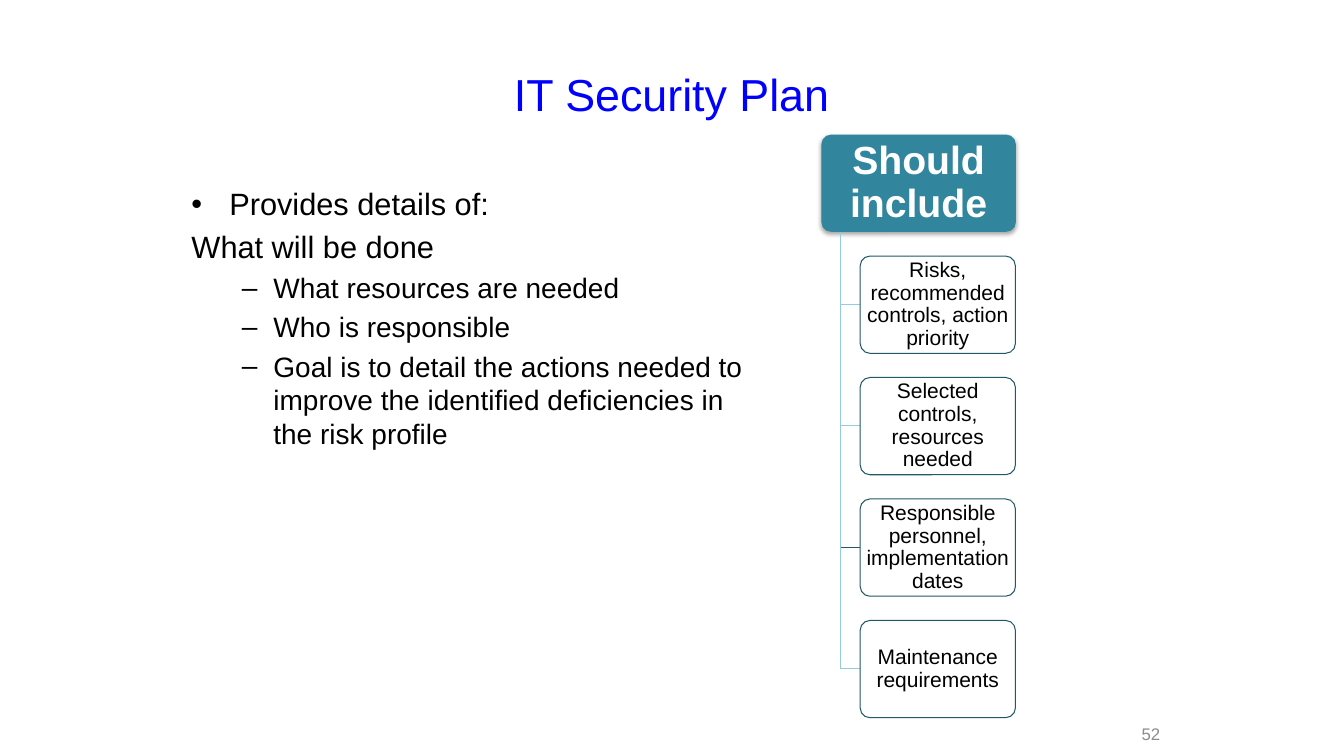
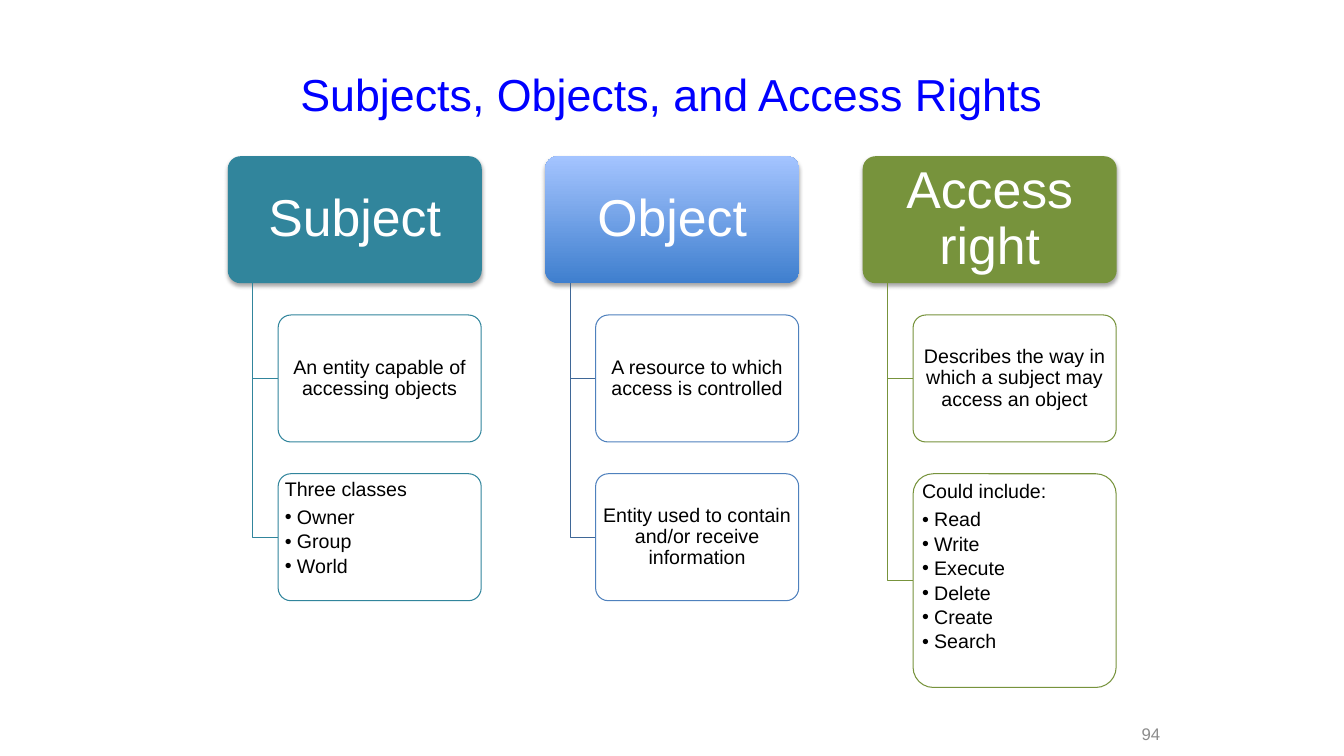
from lxml.etree import SubElement
from pptx import Presentation
from pptx.dml.color import RGBColor
from pptx.enum.shapes import MSO_SHAPE
from pptx.enum.text import MSO_ANCHOR as Anchor, MSO_AUTO_SIZE as AutoSize, PP_ALIGN as Align
from pptx.oxml.ns import qn
from pptx.util import Pt

EMU_PER_PX = 4572
FONT = "Arial"
BLUE, BLACK, WHITE, GREY = "0000FF", "000000", "FFFFFF", "8C8C8C"
TEAL, DARK_TEAL, PALE_TEAL = "31859C", "215968", "93CDDD"
GREEN, SKY, NAVY = "77933C", "4F81BD", "3F6797"
OBJECT_GRADIENT = ("3F7FCE", "A4C4FF")


def px(*lengths):
    return [round(length * EMU_PER_PX) for length in lengths]


def rgb(code):
    return RGBColor.from_string(code)


def style_runs(para, size, color, bold=False):
    for span in para.runs:
        span.font.name = FONT
        span.font.size = Pt(size)
        span.font.bold = bold
        span.font.color.rgb = rgb(color)


def place(shape, left, top, width, height):
    shape.left, shape.top, shape.width, shape.height = px(left, top, width, height)


def set_frame(frame, insets, anchor):
    frame.word_wrap = True
    frame.auto_size = AutoSize.NONE
    frame.vertical_anchor = anchor
    side, end = px(*insets)
    frame.margin_left = frame.margin_right = side
    frame.margin_top = frame.margin_bottom = end


def set_indent(para, margin, bullet=None):
    properties = para._p.get_or_add_pPr()
    left, = px(margin)
    properties.set("marL", str(left))
    properties.set("indent", str(-left))
    if bullet:
        SubElement(properties, qn("a:buFont")).set("typeface", FONT)
        SubElement(properties, qn("a:buChar")).set("char", bullet)
    else:
        SubElement(properties, qn("a:buNone"))


def add_shadow(shape):
    effects = shape._element.spPr.find(qn("a:effectLst"))
    shadow = SubElement(effects, qn("a:outerShdw"), blurRad="40000", dist="23000",
                        dir="5400000", rotWithShape="0")
    color = SubElement(shadow, qn("a:srgbClr"), val=BLACK)
    SubElement(color, qn("a:alpha"), val="35000")


def fill_shape(shape, fill):
    if isinstance(fill, str):
        shape.fill.solid()
        shape.fill.fore_color.rgb = rgb(fill)
    else:
        shape.fill.gradient()
        shape.fill.gradient_angle = 90
        for stop, code in zip(shape.fill.gradient_stops, fill):
            stop.color.rgb = rgb(code)


def add_page(deck, layout, title, number):
    page = deck.slides.add_slide(deck.slide_layouts[layout])
    heading = page.shapes.title
    place(heading, 133, 60, 2400, 250)
    heading.text_frame.text = title
    set_frame(heading.text_frame, (20, 10), Anchor.MIDDLE)
    heading.text_frame.paragraphs[0].alignment = Align.CENTER
    style_runs(heading.text_frame.paragraphs[0], 32, BLUE)

    box = page.shapes.add_textbox(*px(2186, 1440, 136, 30))
    box.text_frame.text = number
    set_frame(box.text_frame, (20, 0), Anchor.MIDDLE)
    box.text_frame.paragraphs[0].alignment = Align.RIGHT
    style_runs(box.text_frame.paragraphs[0], 12, GREY)
    return page


def fill_body(page, items):
    body = page.placeholders[1]
    place(body, 360, 357, 1140, 980)
    frame = body.text_frame
    frame.text = "\n".join(text for text, level, bulleted in items)
    set_frame(frame, (20, 10), Anchor.TOP)
    for para, (text, level, bulleted) in zip(frame.paragraphs, items):
        para.level = level
        if not bulleted:
            set_indent(para, 0)
        style_runs(para, 20 if level else 22, BLACK)
    frame.paragraphs[0].space_before = Pt(0)


def add_card(page, area, lines, size, color, insets, bold=False):
    card = page.shapes.add_shape(MSO_SHAPE.ROUNDED_RECTANGLE, *px(*area))
    card.adjustments[0] = 0.1
    card.shadow.inherit = False
    frame = card.text_frame
    frame.text = "\n".join(lines)
    is_list = len(lines) > 1
    set_frame(frame, insets, Anchor.TOP if is_list else Anchor.MIDDLE)
    for index, para in enumerate(frame.paragraphs):
        para.alignment = Align.LEFT if is_list else Align.CENTER
        para.line_spacing = 0.9
        if index:
            para.level = 1
            set_indent(para, 24, "•")
        if index < len(lines) - 1:
            para.space_after = Pt(2.3 if index else 5)
        style_runs(para, size, color, bold)
    return card


def add_head(page, area, text, fill, size, insets, bold):
    head = add_card(page, area, [text], size, WHITE, insets, bold)
    fill_shape(head, fill)
    head.line.fill.background()
    add_shadow(head)


def add_child(page, area, lines, size, line):
    child = add_card(page, area, lines, size, BLACK, (6, 4))
    fill_shape(child, WHITE)
    child.line.color.rgb = rgb(line)
    child.line.width = Pt(0.75)


def add_elbow(page, left, top, right, bottom, color):
    builder = page.shapes.build_freeform(left, top, EMU_PER_PX)
    builder.add_line_segments([(left, bottom), (right, bottom)], close=False)
    elbow = builder.convert_to_shape()
    elbow.shadow.inherit = False
    elbow.fill.background()
    elbow.line.color.rgb = rgb(color)
    elbow.line.width = Pt(0.75)


def add_branch(page, area, head, fill, line, children, head_size, child_size, insets, bold=False):
    left, top, width, height = area
    add_head(page, area, head, fill, head_size, insets, bold)
    gap = height // 4
    child_left = left + width // 5
    child_top = top + height + gap
    for lines, child_height, elbow_color in children:
        middle = child_top + child_height // 2
        add_elbow(page, left + width // 10, top + height, child_left, middle, elbow_color)
        add_child(page, (child_left, child_top, width * 4 // 5, child_height), lines,
                  child_size, line)
        child_top += child_height + gap


def add_security_plan(deck):
    page = add_page(deck, 1, "IT Security Plan", "52")
    fill_body(page, [
        ("Provides details of:", 0, True),
        ("What will be done", 0, False),
        ("What resources are needed", 1, True),
        ("Who is responsible", 1, True),
        ("Goal is to detail the actions needed to improve the identified deficiencies"
         " in the risk profile", 1, True),
    ])
    height = 193
    children = [
        (["Risks, recommended controls, action priority"], height, PALE_TEAL),
        (["Selected controls, resources needed"], height, PALE_TEAL),
        (["Responsible personnel, implementation dates"], height, DARK_TEAL),
        (["Maintenance requirements"], height, PALE_TEAL),
    ]
    add_branch(page, (1630, 267, 386, height), "Should include", TEAL, DARK_TEAL, children,
               28, 15, (12, 8), bold=True)


def add_access_rights(deck):
    page = add_page(deck, 5, "Subjects, Objects, and Access Rights", "94")
    height = 252
    branches = [
        ("Subject", TEAL, TEAL, TEAL, [
            (["An entity capable of accessing objects"], height),
            (["Three classes", "Owner", "Group", "World"], height),
        ]),
        ("Object", OBJECT_GRADIENT, SKY, NAVY, [
            (["A resource to which access is controlled"], height),
            (["Entity used to contain and/or receive information"], height),
        ]),
        ("Access right", GREEN, GREEN, GREEN, [
            (["Describes the way in which a subject may access an object"], height),
            (["Could include:", "Read", "Write", "Execute", "Delete", "Create", "Search"], 424),
        ]),
    ]
    for column, (head, fill, line, elbow_color, cards) in enumerate(branches):
        children = [(lines, card_height, elbow_color) for lines, card_height in cards]
        add_branch(page, (452 + 630 * column, 310, 504, height), head, fill, line, children,
                   37, 14, (16, 10))


def main():
    deck = Presentation()
    deck.slide_width, deck.slide_height = px(2667, 1500)
    add_security_plan(deck)
    add_access_rights(deck)
    deck.save("out.pptx")


if __name__ == "__main__":
    main()
